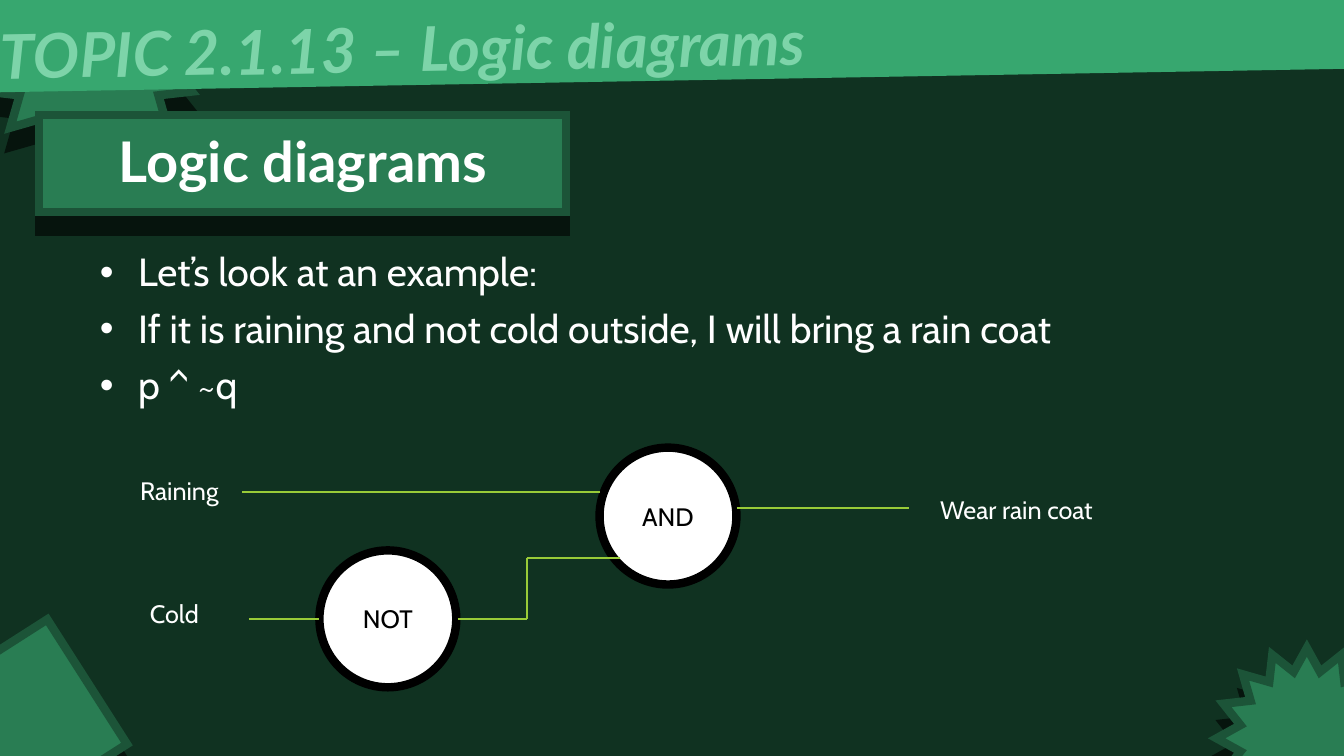
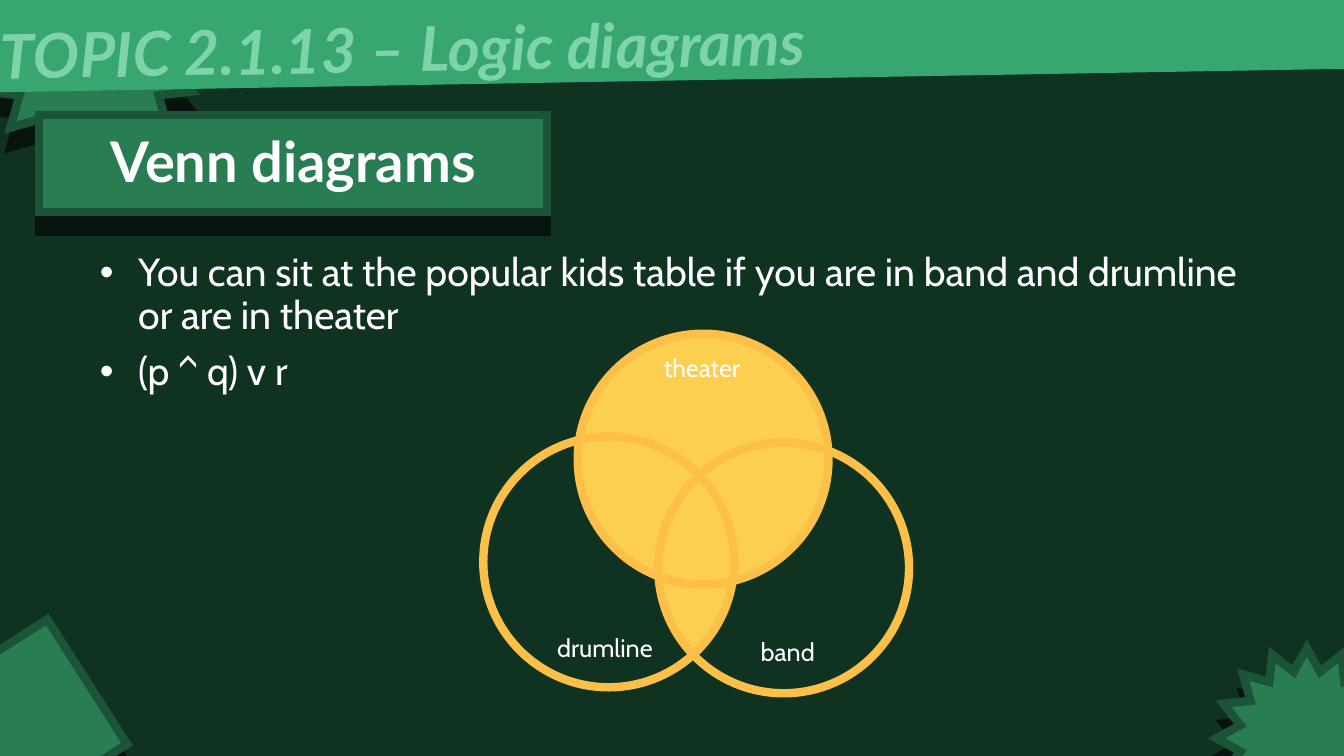
from dataclasses import dataclass
from math import acos, atan2, cos, hypot, pi, sin
from typing import Optional

from lxml.etree import SubElement
from pptx import Presentation
from pptx.dml.color import RGBColor
from pptx.enum.shapes import MSO_CONNECTOR, MSO_SHAPE
from pptx.enum.text import MSO_ANCHOR, MSO_AUTO_SIZE, PP_ALIGN
from pptx.oxml.ns import qn
from pptx.util import Cm, Pt


@dataclass(frozen=True)
class Theme:
    background: str = "103221"
    panel: str = "297D53"
    panel_border: str = "1C5438"
    shadow: str = "06140D"
    band: str = "37A76F"
    band_text: str = "7DD4A9"
    text: str = "FFFFFF"
    gate_fill: str = "FFFFFF"
    gate_ink: str = "000000"
    wire: str = "99CB38"
    venn_fill: str = "FDCF50"
    venn_line: str = "FCBF47"
    heading_font: str = "Lato"
    body_font: str = "Cabin"
    band_size: int = 44
    title_size: int = 40
    body_size: int = 28
    label_size: int = 18
    border_width: float = 6
    wire_width: float = 1.5


THEME = Theme()


@dataclass(frozen=True)
class Box:
    """Position and size in centimetres."""
    left: float
    top: float
    width: float
    height: float
    rotation: float = 0

    def lengths(self) -> tuple:
        return Cm(self.left), Cm(self.top), Cm(self.width), Cm(self.height)


@dataclass(frozen=True)
class Label:
    text: str
    left: float
    top: float


@dataclass(frozen=True)
class Gate:
    text: str
    left: float
    top: float


@dataclass(frozen=True)
class Wire:
    start: tuple[float, float]
    end: tuple[float, float]


@dataclass(frozen=True)
class Circle:
    x: float
    y: float
    radius: float = 3.16

    def box(self) -> Box:
        return Box(self.x - self.radius, self.y - self.radius, 2 * self.radius, 2 * self.radius)


# Shared decoration
DECORATIONS = [
    (MSO_SHAPE.STAR_16_POINT, Box(-0.56, -1.57, 5.61, 5.61)),
    (MSO_SHAPE.RECTANGLE, Box(-1.45, 16.38, 3.96, 3.73, 327.4)),
    (MSO_SHAPE.STAR_16_POINT, Box(30.66, 16.33, 4.55, 4.55)),
]
BAND = Box(-0.56, -1.73, 35.2, 3.76, 359)
BAND_TEXT = Box(-0.25, -0.03, 40.31, 2.13, 359)
BODY = Box(2.26, 6.25, 29.18, 11.99)
BULLET_INDENT = 0.97

# Logic diagram
GATE_SIZE = 3.45
GATES = [Gate("AND", 15.11, 11.28), Gate("NOT", 8.05, 13.87)]
WIRES = [
    Wire((6.1, 12.4), (15.11, 12.4)),
    Wire((6.27, 15.6), (8.05, 15.6)),
    Wire((11.53, 15.6), (13.28, 15.6)),
    Wire((13.28, 15.6), (13.28, 14.05)),
    Wire((13.28, 14.05), (15.62, 14.05)),
    Wire((18.57, 12.8), (22.91, 12.8)),
]
LOGIC_LABELS = [
    Label("Raining", 3.28, 11.86),
    Label("Cold", 3.53, 14.96),
    Label("Wear rain coat", 23.44, 12.32),
]

# Venn diagram
THEATER = Circle(17.72, 11.57)
DRUMLINE = Circle(15.34, 14.16)
BAND_MEMBERS = Circle(19.75, 14.31)
VENN_LABELS = [
    Label("band", 18.92, 15.9),
    Label("drumline", 13.79, 15.82),
    Label("theater", 16.48, 8.76),
]


def color(value: str) -> RGBColor:
    return RGBColor.from_string(value)


def style_text(paragraph, font: str, size: float, ink: str,
               bold: bool = False, italic: bool = False) -> None:
    for run in paragraph.runs:
        run.font.name = font
        run.font.size = Pt(size)
        run.font.color.rgb = color(ink)
        run.font.bold = bold
        run.font.italic = italic


def paint(shape, fill: Optional[str], line: Optional[str] = None) -> None:
    """Set fill and border, with sharp corners and no shadow."""
    shape.shadow.inherit = False
    if fill:
        shape.fill.solid()
        shape.fill.fore_color.rgb = color(fill)
    else:
        shape.fill.background()
    if line:
        shape.line.color.rgb = color(line)
        shape.line.width = Pt(THEME.border_width)
        outline = shape.element.spPr.find(qn("a:ln"))
        SubElement(outline, qn("a:miter"), lim="800000")
    else:
        shape.line.fill.background()


def add_preset(slide, kind, box: Box, fill: Optional[str], line: Optional[str] = None):
    shape = slide.shapes.add_shape(kind, *box.lengths())
    shape.rotation = box.rotation
    paint(shape, fill, line)
    return shape


def add_raised_panel(slide, kind, box: Box) -> None:
    """Draw a bordered shape with a hard shadow straight below it."""
    shape = add_preset(slide, kind, box, THEME.panel, THEME.panel_border)
    effects = shape.element.spPr.find(qn("a:effectLst"))
    shadow = SubElement(effects, qn("a:outerShdw"), blurRad="0", dist=str(Pt(14)),
                        dir="5400000", algn="t", rotWithShape="0")
    SubElement(shadow, qn("a:srgbClr"), val=THEME.shadow)


def add_text(slide, text: str, box: Box):
    text_box = slide.shapes.add_textbox(*box.lengths())
    text_box.rotation = box.rotation
    text_box.text_frame.word_wrap = True
    text_box.text_frame.text = text
    return text_box.text_frame.paragraphs[0]


def add_labels(slide, labels: list[Label]) -> None:
    for label in labels:
        paragraph = add_text(slide, label.text, Box(label.left, label.top, 4.78, 1.02))
        style_text(paragraph, THEME.body_font, THEME.label_size, THEME.text)


def place(slide, placeholder, box: Box) -> None:
    """Move a placeholder and bring it to the front."""
    placeholder.left, placeholder.top, placeholder.width, placeholder.height = box.lengths()
    slide.shapes.element.append(placeholder.element)
    frame = placeholder.text_frame
    frame.auto_size = MSO_AUTO_SIZE.NONE
    frame.word_wrap = True
    frame.vertical_anchor = MSO_ANCHOR.TOP


def add_topic_slide(presentation, title: str, panel_width: float, bullets: list[str]):
    slide = presentation.slides.add_slide(presentation.slide_layouts[1])
    for kind, box in DECORATIONS:
        add_raised_panel(slide, kind, box)

    # Topic band
    add_preset(slide, MSO_SHAPE.RECTANGLE, BAND, THEME.band)
    topic = add_text(slide, "TOPIC 2.1.13 – Logic diagrams", BAND_TEXT)
    style_text(topic, THEME.heading_font, THEME.band_size, THEME.band_text, True, True)

    # Title on its panel
    panel = Box(0.99, 2.9, panel_width, 2.44)
    add_raised_panel(slide, MSO_SHAPE.RECTANGLE, panel)
    heading = slide.shapes.title
    heading.text_frame.text = title
    place(slide, heading, Box(panel.left + 0.13, panel.top + 0.15, panel.width - 0.26, 1.95))
    paragraph = heading.text_frame.paragraphs[0]
    paragraph.alignment = PP_ALIGN.CENTER
    style_text(paragraph, THEME.heading_font, THEME.title_size, THEME.text, True)

    # Bullets
    body = slide.placeholders[1]
    body.text_frame.text = "\n".join(bullets)
    place(slide, body, BODY)
    for index, paragraph in enumerate(body.text_frame.paragraphs):
        properties = paragraph._p.get_or_add_pPr()
        properties.set("marL", str(Cm(BULLET_INDENT)))
        properties.set("indent", str(-Cm(BULLET_INDENT)))
        paragraph.line_spacing = 0.9
        paragraph.space_before = Pt(10 if index else 0)
        style_text(paragraph, THEME.body_font, THEME.body_size, THEME.text)
    return slide


def add_gate(slide, gate: Gate) -> None:
    box = Box(gate.left, gate.top, GATE_SIZE, GATE_SIZE)
    shape = add_preset(slide, MSO_SHAPE.OVAL, box, THEME.gate_fill, THEME.gate_ink)
    shape.text_frame.text = gate.text
    shape.text_frame.vertical_anchor = MSO_ANCHOR.MIDDLE
    paragraph = shape.text_frame.paragraphs[0]
    paragraph.alignment = PP_ALIGN.CENTER
    style_text(paragraph, THEME.body_font, THEME.label_size, THEME.gate_ink)


def add_wire(slide, wire: Wire) -> None:
    ends = [Cm(value) for value in (*wire.start, *wire.end)]
    connector = slide.shapes.add_connector(MSO_CONNECTOR.STRAIGHT, *ends)
    connector.line.color.rgb = color(THEME.wire)
    connector.line.width = Pt(THEME.wire_width)
    SubElement(connector.element.spPr, qn("a:effectLst"))


def add_overlap(slide, first: Circle, second: Circle, steps: int = 40) -> None:
    """Fill the lens shared by two circles of equal radius."""
    across, down = second.x - first.x, second.y - first.y
    direction = atan2(down, across)
    spread = acos(hypot(across, down) / (2 * first.radius))
    points = []
    for circle, middle in ((first, direction), (second, direction + pi)):
        for step in range(steps + 1):
            angle = middle - spread + 2 * spread * step / steps
            points.append((Cm(circle.x + circle.radius * cos(angle)),
                           Cm(circle.y + circle.radius * sin(angle))))
    builder = slide.shapes.build_freeform(*points[0])
    builder.add_line_segments(points[1:], close=True)
    paint(builder.convert_to_shape(), THEME.venn_fill)


def main() -> None:
    presentation = Presentation()
    presentation.slide_width, presentation.slide_height = Cm(33.87), Cm(19.05)
    background = presentation.slide_master.background.fill
    background.solid()
    background.fore_color.rgb = color(THEME.background)

    # Slide 1: logic diagram
    logic = add_topic_slide(presentation, "Logic diagrams", 13.28, [
        "Let’s look at an example:",
        "If it is raining and not cold outside, I will bring a rain coat",
        "p ^ ~q",
    ])
    for gate in GATES:
        add_gate(logic, gate)
    for wire in WIRES:
        add_wire(logic, wire)
    add_labels(logic, LOGIC_LABELS)

    # Slide 2: Venn diagram
    venn = add_topic_slide(presentation, "Venn diagrams", 12.8, [
        "You can sit at the popular kids table if you are in band and drumline or are in theater",
        "(p ^ q) v r",
    ])
    add_overlap(venn, DRUMLINE, BAND_MEMBERS)
    for circle, fill in ((THEATER, THEME.venn_fill), (DRUMLINE, None), (BAND_MEMBERS, None)):
        add_preset(venn, MSO_SHAPE.OVAL, circle.box(), fill, THEME.venn_line)
    add_labels(venn, VENN_LABELS)

    presentation.save("out.pptx")


if __name__ == "__main__":
    main()
